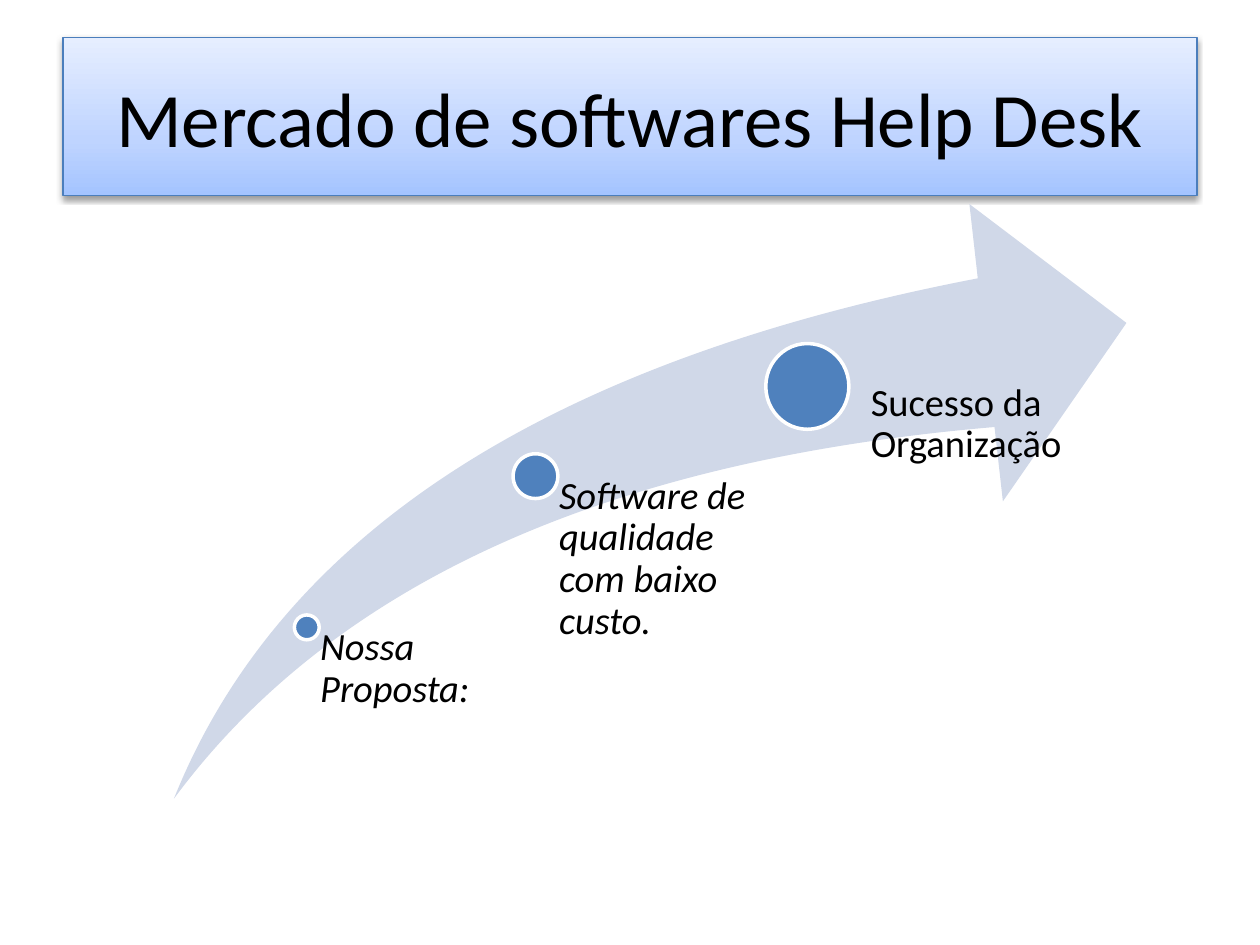
import copy

import pptx
import pptx.dml.color
import pptx.enum.shapes
import pptx.enum.text
import pptx.oxml
import pptx.oxml.ns
import pptx.util

Pt = pptx.util.Pt
Shape = pptx.enum.shapes.MSO_SHAPE
Align = pptx.enum.text.PP_ALIGN
Anchor = pptx.enum.text.MSO_ANCHOR
qn = pptx.oxml.ns.qn


def color(value):
    return pptx.dml.color.RGBColor.from_string(value)


class SlideBuilder:
    font = "Calibri"
    ink = "000000"
    accent = "4F81BD"
    swoosh = "D0D8E8"
    banner_stops = [(0, "A4C4FF"), (35, "BFD4FF"), (100, "E6EEFF")]

    def __init__(self, slide):
        self.slide = slide
        self.diagram = None

    def set_text(self, frame, text, size, italic=False):
        frame.word_wrap = True
        frame.text = text
        paragraph = frame.paragraphs[0]
        for run in paragraph.runs:
            run.font.name = self.font
            run.font.size = Pt(size)
            run.font.italic = italic
            run.font.color.rgb = color(self.ink)
        return paragraph

    def paint(self, shape, value):
        shape.shadow.inherit = False
        shape.fill.solid()
        shape.fill.fore_color.rgb = color(value)

    def outline(self, shape, value, width):
        shape.line.color.rgb = color(value)
        shape.line.width = Pt(width)

    def shade(self, shape):
        shape.fill.gradient()
        shape.fill.gradient_angle = 90
        stops = shape._element.spPr.find(".//" + qn("a:gsLst"))
        stops.append(copy.deepcopy(stops[0]))
        for stop, (position, value) in zip(stops, self.banner_stops):
            stop.set("pos", str(position * 1000))
            for old in list(stop):
                stop.remove(old)
            stop.append(stop.makeelement(qn("a:srgbClr"), {"val": value}))

    def drop_shadow(self, shape):
        shape.shadow.inherit = False
        effects = shape._element.spPr.find(qn("a:effectLst"))
        effects.append(pptx.oxml.parse_xml(
            f'<a:outerShdw {pptx.oxml.ns.nsdecls("a")} blurRad="{Pt(3.1)}" '
            f'dist="{Pt(1.6)}" dir="5400000" rotWithShape="0">'
            '<a:srgbClr val="000000"><a:alpha val="38000"/></a:srgbClr>'
            '</a:outerShdw>'))

    def banner(self, text, left, top, width, height):
        banner = self.slide.shapes.add_shape(
            Shape.RECTANGLE, Pt(left), Pt(top), Pt(width), Pt(height))
        self.shade(banner)
        self.outline(banner, "4B7EBC", 0.75)
        self.drop_shadow(banner)
        banner.text_frame.vertical_anchor = Anchor.MIDDLE
        self.set_text(banner.text_frame, text, 44).alignment = Align.CENTER

    def arrow(self, left, top, width, height):
        self.diagram = self.slide.shapes.add_group_shape()
        arrow = self.diagram.shapes.add_shape(
            Shape.SWOOSH_ARROW, Pt(left), Pt(top), Pt(width), Pt(height))
        arrow.adjustments[0] = 0.25
        arrow.adjustments[1] = 0.25
        self.paint(arrow, self.swoosh)
        arrow.line.fill.background()

    def milestone(self, left, top, width, height):
        dot = self.diagram.shapes.add_shape(
            Shape.OVAL, Pt(left), Pt(top), Pt(width), Pt(height))
        self.paint(dot, self.accent)
        self.outline(dot, "FFFFFF", 2)

    def caption(self, text, left, top, width, height, inset, italic):
        caption = self.diagram.shapes.add_textbox(
            Pt(left), Pt(top), Pt(width), Pt(height))
        frame = caption.text_frame
        frame.margin_left = Pt(inset)
        frame.margin_top = frame.margin_right = frame.margin_bottom = 0
        paragraph = self.set_text(frame, text, 22, italic)
        paragraph.line_spacing = 0.9
        paragraph.space_after = Pt(7.7)


def main():
    deck = pptx.Presentation()
    deck.slide_width, deck.slide_height = Pt(720), Pt(540)
    builder = SlideBuilder(deck.slides.add_slide(deck.slide_layouts[6]))
    builder.banner("Mercado de softwares Help Desk", 36, 21.6, 648, 90)
    builder.arrow(99.4, 116.6, 544.3, 339.8)
    milestones = [
        ("Nossa Proposta:", (168.2, 351.4, 14.2, 14.2),
         (175.5, 358.5, 126.7, 98.6), 7.5, True),
        ("Software de qualidade com baixo custo.", (293.2, 259.3, 25.6, 25.6),
         (306, 272.1, 130.3, 185), 13.5, True),
        ("Sucesso da Organização", (437.6, 196.3, 47.5, 49),
         (478.8, 218.9, 130.3, 236.2), 18.8, False),
    ]
    for text, dot, area, inset, italic in milestones:
        builder.milestone(*dot)
        builder.caption(text, *area, inset, italic)
    deck.save("out.pptx")


if __name__ == "__main__":
    main()
